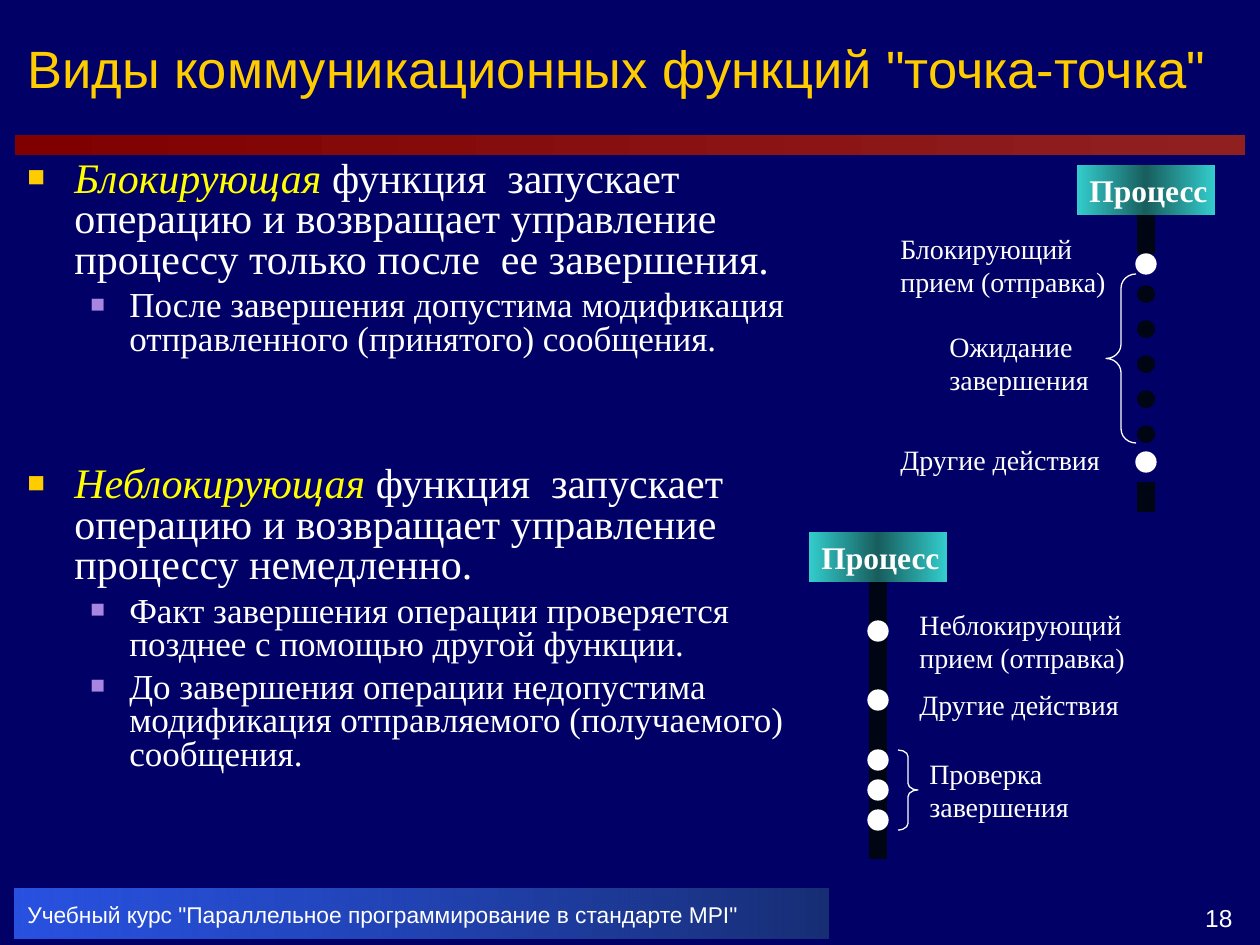
from lxml.etree import SubElement
from pptx import Presentation
from pptx.dml.color import RGBColor
from pptx.enum.dml import MSO_LINE
from pptx.enum.shapes import MSO_CONNECTOR, MSO_SHAPE
from pptx.enum.text import MSO_ANCHOR, PP_ALIGN
from pptx.oxml.ns import qn
from pptx.util import Pt

EMU_PER_PX = 914400 / 126
SANS = "Arial"
SERIF = "Times New Roman"
COLORS = {
    "background": "000066",
    "white": "FFFFFF",
    "gold": "FFCC00",
    "yellow": "FFFF00",
    "violet": "A886E0",
    "track": "000514",
    "teal": "33CCCC",
    "dark_teal": "185E5E",
    "maroon": "800000",
    "red": "902020",
    "blue": "3366FF",
    "navy": "182F76",
}
LEVELS = [
    {"size": 24, "indent": 47, "hanging": 47, "before": 6, "bullet": "gold"},
    {"size": 20, "indent": 102, "hanging": 39, "before": 5, "bullet": "violet"},
]
BODY = [
    (0, "Блокирующая ", "функция  запускает операцию и возвращает управление "
        "процессу только после  ее завершения.", 0),
    (1, "", "После завершения допустима модификация отправленного (принятого) сообщения.", 5),
    (0, "Неблокирующая ", "функция  запускает операцию и возвращает управление "
        "процессу немедленно.", 62),
    (1, "", "Факт завершения операции проверяется позднее с помощью другой функции.", 5),
    (1, "", "До завершения операции недопустима модификация отправляемого "
        "(получаемого) сообщения.", 5),
]


def px(length):
    return round(length * EMU_PER_PX)


def color(name):
    return RGBColor.from_string(COLORS[name])


def format_run(run, size, font=SERIF, ink="white", bold=False, italic=False):
    run.font.size = Pt(size)
    run.font.name = font
    run.font.color.rgb = color(ink)
    run.font.bold = bold
    run.font.italic = italic


def write_text(shape, text, align=PP_ALIGN.LEFT, anchor=MSO_ANCHOR.TOP,
               wrap=True, spacing=None, **run_format):
    frame = shape.text_frame
    frame.word_wrap = wrap
    frame.vertical_anchor = anchor
    for index, line in enumerate(text.split("\n")):
        paragraph = frame.add_paragraph() if index else frame.paragraphs[0]
        paragraph.alignment = align
        if spacing:
            paragraph.line_spacing = spacing
        run = paragraph.add_run()
        run.text = line
        format_run(run, **run_format)


def add_text(slide, left, top, width, height, text, **text_format):
    box = slide.shapes.add_textbox(px(left), px(top), px(width), px(height))
    write_text(box, text, **text_format)


def add_shape(slide, kind, left, top, width, height):
    shape = slide.shapes.add_shape(kind, px(left), px(top), px(width), px(height))
    shape.shadow.inherit = False
    return shape


def add_gradient_bar(slide, left, top, width, height, stops):
    bar = add_shape(slide, MSO_SHAPE.RECTANGLE, left, top, width, height)
    bar.line.fill.background()
    bar.fill.gradient()
    bar.fill.gradient_angle = 0
    stop_list = bar.fill._fill._gradFill.find(qn("a:gsLst"))
    for old_stop in list(stop_list):
        stop_list.remove(old_stop)
    for position, name, opacity in stops:
        stop = SubElement(stop_list, qn("a:gs"), pos=str(position * 1000))
        tint = SubElement(stop, qn("a:srgbClr"), val=COLORS[name])
        if opacity < 100:
            SubElement(tint, qn("a:alpha"), val=str(opacity * 1000))
    return bar


def add_process(slide, left, top):
    stops = [(0, "teal", 100), (50, "dark_teal", 100), (100, "teal", 100)]
    box = add_gradient_bar(slide, left, top, 138, 50, stops)
    write_text(box, "Процесс", anchor=MSO_ANCHOR.MIDDLE, wrap=False, size=18, bold=True)
    return box


def add_track(slide, center, top, bottom, process=None, dotted=False):
    track = slide.shapes.add_connector(
        MSO_CONNECTOR.STRAIGHT, px(center), px(top), px(center), px(bottom))
    track.line.color.rgb = color("track")
    track.line.width = Pt(10)
    if dotted:
        track.line.dash_style = MSO_LINE.ROUND_DOT
        track.line._get_or_add_ln().set("cap", "rnd")
    SubElement(track._element.spPr, qn("a:effectLst"))
    if process is not None:
        track.begin_connect(process, 2)


def add_events(slide, center, middles):
    for middle in middles:
        event = add_shape(slide, MSO_SHAPE.OVAL, center - 10, middle - 10, 20, 20)
        event.fill.solid()
        event.fill.fore_color.rgb = color("white")
        event.line.color.rgb = color("white")
        event.line.width = Pt(0.75)


def add_brace(slide, kind, left, top, width, height):
    brace = add_shape(slide, kind, left, top, width, height)
    brace.fill.background()
    brace.line.color.rgb = color("white")
    brace.line.width = Pt(0.75)
    brace.adjustments[0] = round(height / width / 12, 2)


def add_bullet(paragraph, level):
    properties = paragraph._p.get_or_add_pPr()
    properties.set("marL", str(px(level["indent"])))
    properties.set("indent", str(-px(level["hanging"])))
    bullet_color = SubElement(properties, qn("a:buClr"))
    SubElement(bullet_color, qn("a:srgbClr"), val=COLORS[level["bullet"]])
    SubElement(properties, qn("a:buSzPct"), val="70000")
    SubElement(properties, qn("a:buFont"), typeface=SANS)
    SubElement(properties, qn("a:buChar"), char="■")


def add_body(slide):
    frame = slide.shapes.add_textbox(px(15), px(155), px(784), px(725)).text_frame
    frame.word_wrap = True
    for index, (depth, term, text, before) in enumerate(BODY):
        level = LEVELS[depth]
        paragraph = frame.add_paragraph() if index else frame.paragraphs[0]
        paragraph.level = depth
        add_bullet(paragraph, level)
        paragraph.line_spacing = 0.8
        paragraph.space_before = Pt(before)
        if term:
            run = paragraph.add_run()
            run.text = term
            format_run(run, level["size"], ink="yellow", italic=True)
        run = paragraph.add_run()
        run.text = text
        format_run(run, level["size"])


def add_blocking_diagram(slide):
    center = 1146
    process = add_process(slide, center - 69, 165)
    add_track(slide, center, 215, 254, process=process)
    add_track(slide, center, 294, 462, dotted=True)
    add_track(slide, center, 482, 512)
    add_events(slide, center, [264, 462])
    add_brace(slide, MSO_SHAPE.LEFT_BRACE, 1106, 274, 30, 169)
    add_text(slide, 888, 225, 238, 80, "Блокирующий прием (отправка)", size=16)
    add_text(slide, 937, 323, 189, 80, "Ожидание\nзавершения", size=16)
    add_text(slide, 888, 436, 258, 48, "Другие действия", size=16)


def add_nonblocking_diagram(slide):
    center = 878
    process = add_process(slide, center - 69, 532)
    add_track(slide, center, 582, 859, process=process)
    add_events(slide, center, [631, 700, 760, 790, 820])
    add_brace(slide, MSO_SHAPE.RIGHT_BRACE, 898, 750, 20, 80)
    add_text(slide, 907, 601, 248, 80, "Неблокирующий прием (отправка)", size=16)
    add_text(slide, 907, 681, 258, 48, "Другие действия", size=16)
    add_text(slide, 917, 750, 189, 80, "Проверка\nзавершения", size=16)


def main():
    presentation = Presentation()
    presentation.slide_width = px(1260)
    presentation.slide_height = px(945)
    slide = presentation.slides.add_slide(presentation.slide_layouts[6])
    slide.background.fill.solid()
    slide.background.fill.fore_color.rgb = color("background")

    add_gradient_bar(slide, 15, 135, 1230, 20, [(0, "maroon", 100), (100, "red", 100)])
    add_text(slide, 15, 11, 1230, 124, 'Виды коммуникационных функций "точка-точка"',
             anchor=MSO_ANCHOR.MIDDLE, spacing=0.8, size=30, font=SANS, ink="gold")
    add_body(slide)
    add_blocking_diagram(slide)
    add_nonblocking_diagram(slide)
    footer = add_gradient_bar(slide, 15, 889, 814, 50, [(0, "blue", 80), (100, "navy", 100)])
    write_text(footer, 'Учебный курс "Параллельное программирование в стандарте MPI"',
               anchor=MSO_ANCHOR.MIDDLE, wrap=False, size=13, font=SANS)
    add_text(slide, 1116, 889, 129, 50, "18", align=PP_ALIGN.RIGHT,
             anchor=MSO_ANCHOR.BOTTOM, size=14, font=SANS)
    presentation.save("out.pptx")


if __name__ == "__main__":
    main()
